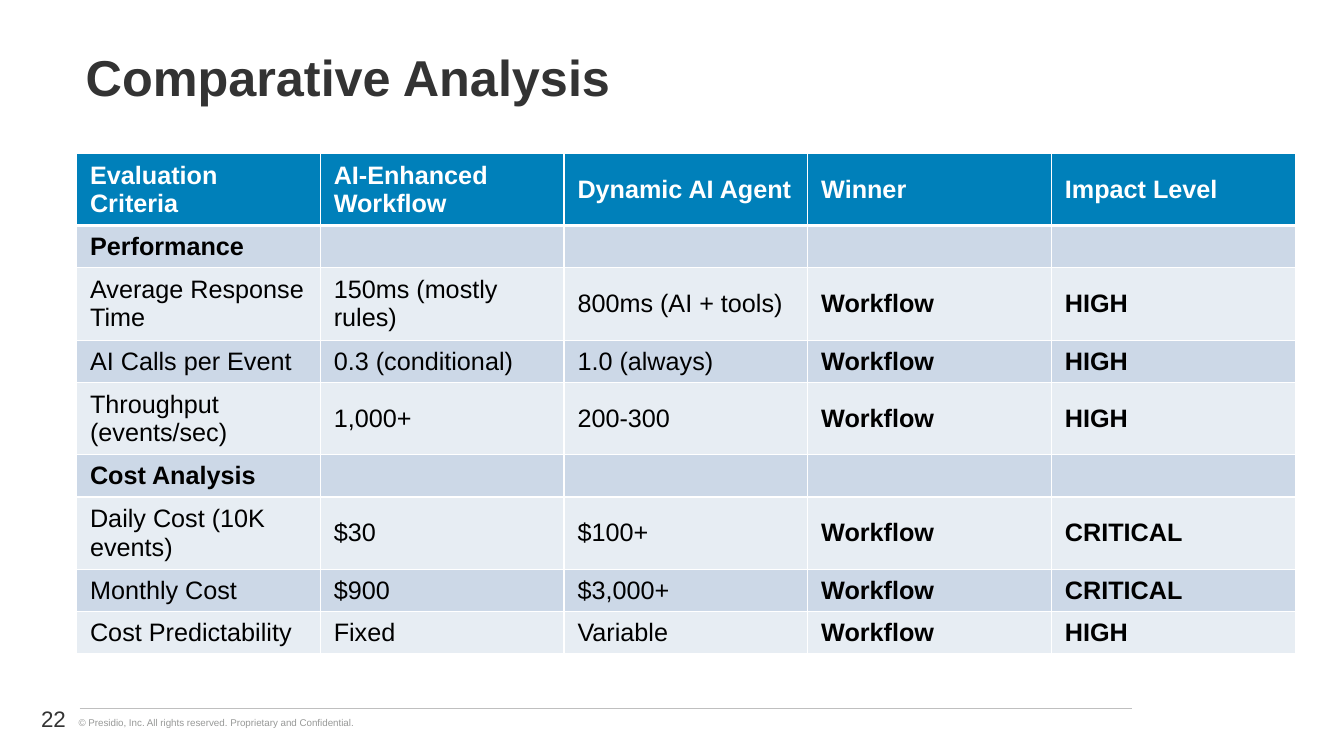
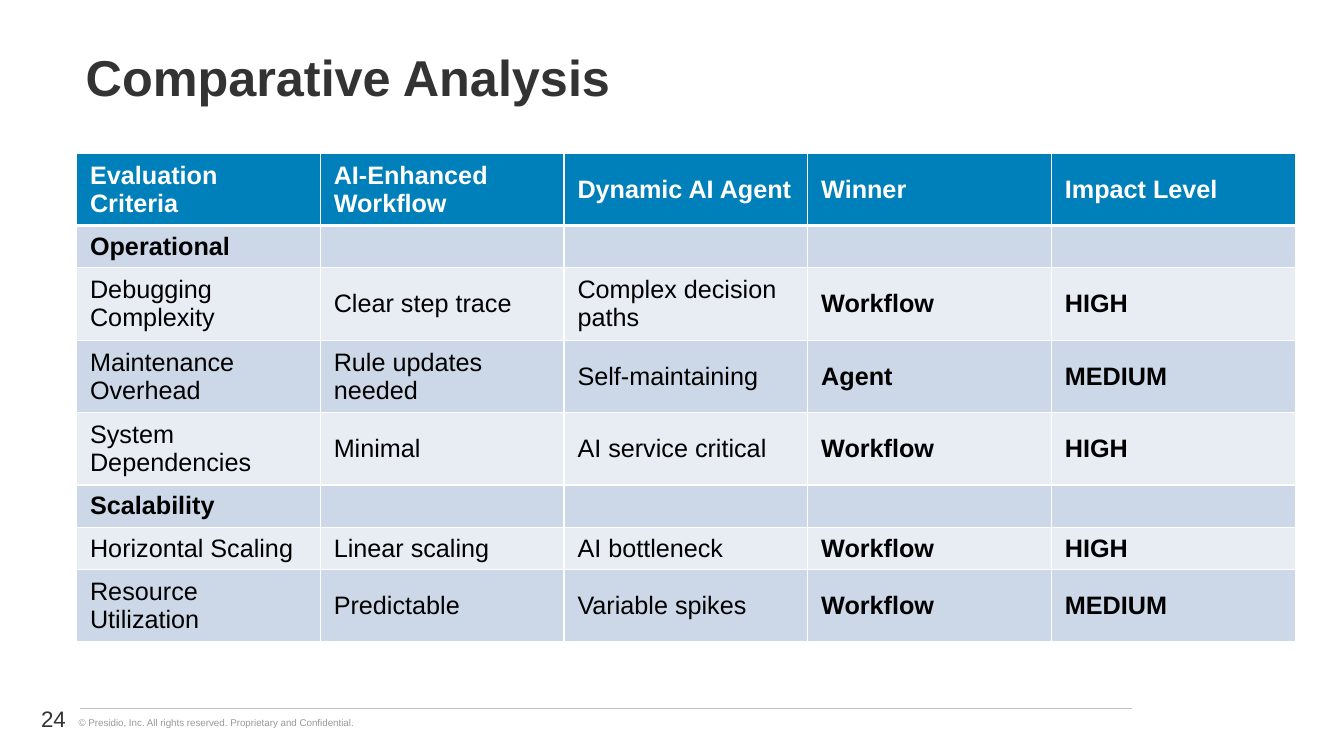
from lxml import etree
from pptx import Presentation
from pptx.dml.color import RGBColor
from pptx.enum.shapes import MSO_CONNECTOR
from pptx.enum.text import MSO_ANCHOR, PP_ALIGN
from pptx.oxml.ns import qn
from pptx.util import Cm, Pt

STRAIGHT = MSO_CONNECTOR.STRAIGHT
TOP, MIDDLE = MSO_ANCHOR.TOP, MSO_ANCHOR.MIDDLE
LEFT, RIGHT = PP_ALIGN.LEFT, PP_ALIGN.RIGHT

FONT = "Arial"
WHITE, BLACK, DARK, GREY, RULE = "FFFFFF", "000000", "333333", "989998", "BFBFBF"
HEADER_FILL = "0080BA"
BAND_FILLS = ("CCD8E7", "E7EDF3")

TITLE = "Comparative Analysis"
COPYRIGHT = "© Presidio, Inc. All rights reserved. Proprietary and Confidential."
HEADERS = ("Evaluation Criteria", "AI-Enhanced Workflow", "Dynamic AI Agent", "Winner", "Impact Level")
FIRST_BOLD_COLUMN = HEADERS.index("Winner")

SLIDES = [
    ("22", [
        ("Performance",),
        ("Average Response Time", "150ms (mostly rules)", "800ms (AI + tools)", "Workflow", "HIGH"),
        ("AI Calls per Event", "0.3 (conditional)", "1.0 (always)", "Workflow", "HIGH"),
        ("Throughput (events/sec)", "1,000+", "200-300", "Workflow", "HIGH"),
        ("Cost Analysis",),
        ("Daily Cost (10K events)", "$30", "$100+", "Workflow", "CRITICAL"),
        ("Monthly Cost", "$900", "$3,000+", "Workflow", "CRITICAL"),
        ("Cost Predictability", "Fixed", "Variable", "Workflow", "HIGH"),
    ]),
    ("24", [
        ("Operational",),
        ("Debugging Complexity", "Clear step trace", "Complex decision paths", "Workflow", "HIGH"),
        ("Maintenance Overhead", "Rule updates needed", "Self-maintaining", "Agent", "MEDIUM"),
        ("System Dependencies", "Minimal", "AI service critical", "Workflow", "HIGH"),
        ("Scalability",),
        ("Horizontal Scaling", "Linear scaling", "AI bottleneck", "Workflow", "HIGH"),
        ("Resource Utilization", "Predictable", "Variable spikes", "Workflow", "MEDIUM"),
    ]),
]

TABLE_LEFT, TABLE_TOP, TABLE_WIDTH = Cm(1.93), Cm(3.86), Cm(30.71)
ROW_HEIGHT = Cm(1.04)
MARGIN_X, MARGIN_Y = Cm(0.34), Cm(0.15)


def color(value):
    return RGBColor.from_string(value)


def add_run(paragraph, text, size, ink, bold=False):
    run = paragraph.add_run()
    run.text = text
    run.font.name = FONT
    run.font.size = Pt(size)
    run.font.bold = bold
    run.font.color.rgb = color(ink)


def add_text(slide, box, text, size, ink, bold=False, align=LEFT, anchor=MIDDLE, wrap=True, spacing=1.0):
    frame = slide.shapes.add_textbox(*(Cm(length) for length in box)).text_frame
    frame.word_wrap = wrap
    frame.vertical_anchor = anchor
    paragraph = frame.paragraphs[0]
    paragraph.alignment = align
    paragraph.line_spacing = spacing
    add_run(paragraph, text, size, ink, bold)


def set_borders(cell, top, bottom):
    properties = cell._tc.get_or_add_tcPr()
    for side, width in (("L", 1), ("R", 1), ("T", top), ("B", bottom)):
        line = etree.SubElement(properties, qn(f"a:ln{side}"), w=str(Pt(width)))
        fill = etree.SubElement(line, qn("a:solidFill"))
        etree.SubElement(fill, qn("a:srgbClr"), val=WHITE)


def add_footer(slide, number):
    add_text(slide, (1.73, 17.93, 7.57, 0.56), COPYRIGHT, 7, GREY, anchor=TOP, wrap=False)
    rule = slide.shapes.add_connector(STRAIGHT, Cm(2.01), Cm(17.86), Cm(28.52), Cm(17.86))
    rule.line.color.rgb = color(RULE)
    rule.line.width = Pt(0.75)
    etree.SubElement(rule._element.spPr, qn("a:effectLst"))
    add_text(slide, (0, 17.6, 1.91, 1.02), number, 16, DARK, align=RIGHT)


def add_comparison(slide, body):
    rows = [HEADERS, *body]
    table = slide.shapes.add_table(
        len(rows), len(HEADERS), TABLE_LEFT, TABLE_TOP, TABLE_WIDTH, ROW_HEIGHT * len(rows)
    ).table
    table.horz_banding = False
    for row_index, row in enumerate(rows):
        is_header = row_index == 0
        is_section = len(row) == 1
        for column_index in range(len(HEADERS)):
            cell = table.cell(row_index, column_index)
            set_borders(cell, 3 if row_index == 1 else 1, 3 if is_header else 1)
            cell.fill.solid()
            cell.fill.fore_color.rgb = color(HEADER_FILL if is_header else BAND_FILLS[(row_index - 1) % 2])
            cell.vertical_anchor = MIDDLE
            cell.margin_left = cell.margin_right = MARGIN_X
            cell.margin_top = cell.margin_bottom = MARGIN_Y
            if column_index < len(row):
                bold = is_header or is_section or column_index >= FIRST_BOLD_COLUMN
                paragraph = cell.text_frame.paragraphs[0]
                add_run(paragraph, row[column_index], 18, WHITE if is_header else BLACK, bold)


def main():
    presentation = Presentation()
    presentation.slide_width, presentation.slide_height = Cm(33.87), Cm(19.05)
    for number, body in SLIDES:
        slide = presentation.slides.add_slide(presentation.slide_layouts[6])
        add_text(slide, (1.91, 0.66, 30.71, 2.72), TITLE, 36, DARK, bold=True, spacing=0.9)
        add_comparison(slide, body)
        add_footer(slide, number)
    presentation.save("out.pptx")


if __name__ == "__main__":
    main()
